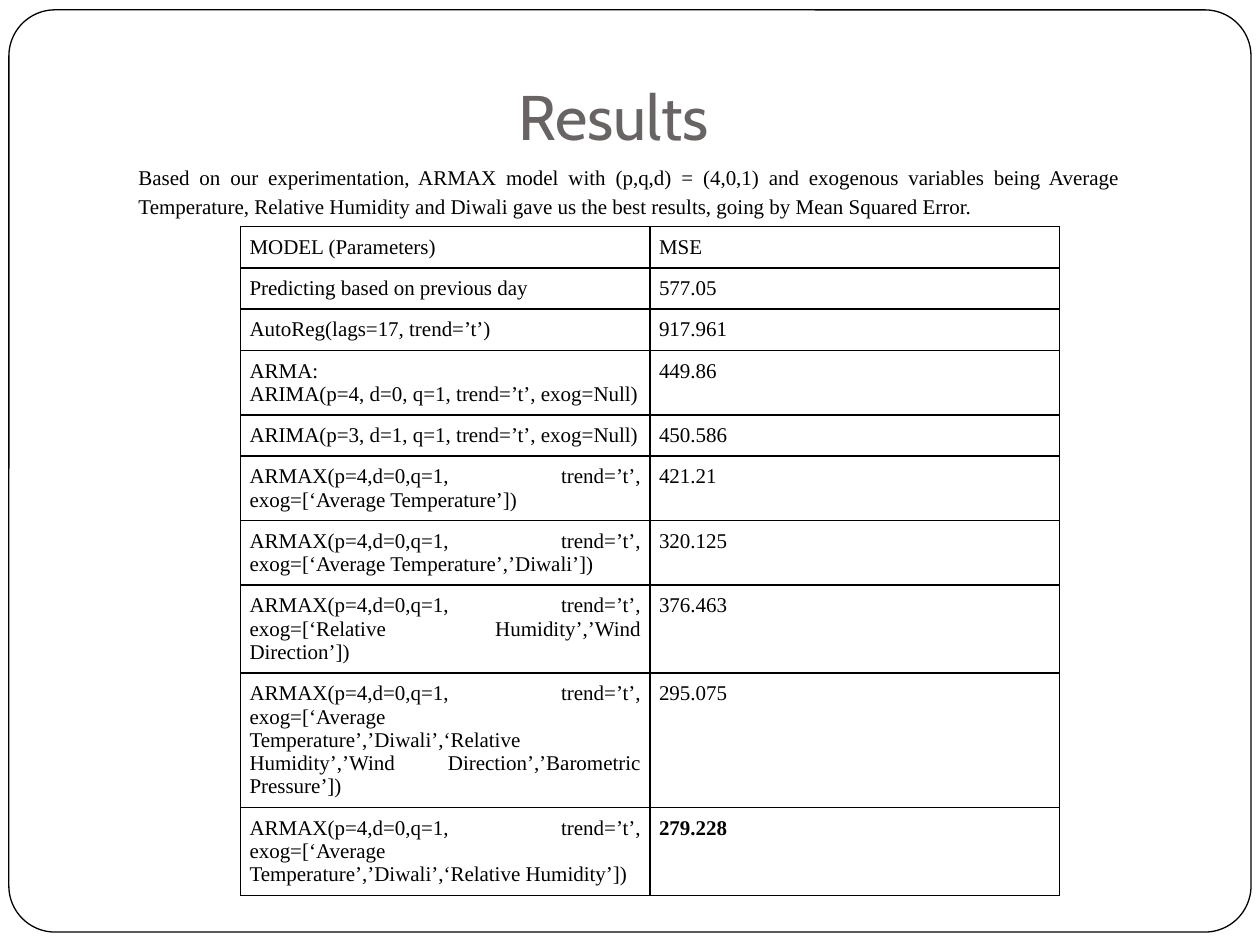
"""Build the Results slide comparing the error of the forecasting models."""
from lxml import etree
from pptx import Presentation
from pptx import util as u
from pptx.dml import color
from pptx.enum import shapes, text
from pptx.oxml import ns

SUMMARY = (
    "Based on our experimentation, ARMAX model with (p,q,d) = (4,0,1) and exogenous "
    "variables being Average Temperature, Relative Humidity and Diwali gave us the best "
    "results, going by Mean Squared Error."
)
ARMAX = "ARMAX(p=4,d=0,q=1, trend=’t’, exog=[{}])"
SCORES = [
    ("MODEL (Parameters)", "MSE"),
    ("Predicting based on previous day", "577.05"),
    ("AutoReg(lags=17, trend=’t’)", "917.961"),
    ("ARMA:\nARIMA(p=4, d=0, q=1, trend=’t’, exog=Null)", "449.86"),
    ("ARIMA(p=3, d=1, q=1, trend=’t’, exog=Null)", "450.586"),
    (ARMAX.format("‘Average Temperature’"), "421.21"),
    (ARMAX.format("‘Average Temperature’,’Diwali’"), "320.125"),
    (ARMAX.format("‘Relative Humidity’,’Wind Direction’"), "376.463"),
    (ARMAX.format("‘Average Temperature’,’Diwali’,‘Relative Humidity’,"
                  "’Wind Direction’,’Barometric Pressure’"), "295.075"),
    (ARMAX.format("‘Average Temperature’,’Diwali’,‘Relative Humidity’"), "279.228"),
]
BEST = "279.228"


def rgb(value):
    return color.RGBColor.from_string(value)


def apply(target, formats):
    for name, value in formats.items():
        setattr(target, name, value)


def box(*lengths):
    return dict(zip(("left", "top", "width", "height"), map(u.Cm, lengths)))


def margins(length):
    return {f"margin_{side}": u.Cm(length) for side in ("left", "top", "right", "bottom")}


class SlideBuilder:
    ink = "000000"
    paper = "FFFFFF"
    heading = {"name": "Cabin", "size": u.Pt(36), "bold": False}
    prose = {"name": "Times New Roman", "size": u.Pt(12), "bold": False}
    justified = {"alignment": text.PP_ALIGN.JUSTIFY}

    def __init__(self, deck):
        self.slide = deck.slides.add_slide(deck.slide_layouts[1])

    def set_text(self, frame, words, font, ink, layout):
        frame.text = words
        for paragraph in frame.paragraphs:
            apply(paragraph, layout)
            for run in paragraph.runs:
                apply(run.font, font)
                run.font.color.rgb = rgb(ink)

    def frame(self, place, corner):
        outline = self.slide.shapes.add_shape(
            shapes.MSO_SHAPE.ROUNDED_RECTANGLE, **place)
        outline.adjustments[0] = corner
        outline.shadow.inherit = False
        outline.fill.solid()
        outline.fill.fore_color.rgb = rgb(self.paper)
        outline.line.color.rgb = rgb(self.ink)
        outline.line.width = u.Pt(0.75)
        self.slide.shapes.element.insert(2, outline.element)

    def placeholder(self, index, place, words, font, ink, layout):
        holder = self.slide.placeholders[index]
        apply(holder, place)
        apply(holder.text_frame, {
            **margins(0.25), "word_wrap": True, "auto_size": text.MSO_AUTO_SIZE.NONE,
            "vertical_anchor": text.MSO_ANCHOR.TOP})
        self.set_text(holder.text_frame, words, font, ink,
                      {"space_before": u.Pt(0), **layout})
        for paragraph in holder.text_frame.paragraphs:
            properties = paragraph._p.get_or_add_pPr()
            properties.set("marL", "0")
            properties.set("indent", "0")
            etree.SubElement(properties, ns.qn("a:buNone"))

    def border(self, cell):
        properties = cell._tc.get_or_add_tcPr()
        for position, side in enumerate(("lnL", "lnR", "lnT", "lnB")):
            edge = etree.Element(ns.qn(f"a:{side}"), w=str(u.Pt(1)))
            fill = etree.SubElement(edge, ns.qn("a:solidFill"))
            etree.SubElement(fill, ns.qn("a:srgbClr"), val=self.ink)
            properties.insert(position, edge)

    def table(self, place, rows, row_height, strong):
        grid = self.slide.shapes.add_table(len(rows), len(rows[0]), **place).table
        apply(grid, {"first_row": False, "horz_banding": False})
        for row, entries in zip(grid.rows, rows):
            row.height = u.Cm(row_height)
            for cell, words in zip(row.cells, entries):
                apply(cell, margins(0.18))
                cell.fill.background()
                font = {**self.prose, "bold": words == strong}
                self.set_text(cell.text_frame, words, font, self.ink, self.justified)
                self.border(cell)


def main():
    deck = Presentation()
    apply(deck, {"slide_width": u.Cm(25.4), "slide_height": u.Cm(19.05)})
    results = SlideBuilder(deck)
    results.frame(box(0.18, 0.2, 25.04, 18.59), 0.05)
    results.placeholder(0, box(1.9, 1.32, 20.93, 2.44), "Results", results.heading,
                        "696464", {"alignment": text.PP_ALIGN.CENTER})
    results.placeholder(1, box(2.54, 3, 20.3, 1.75), SUMMARY, results.prose,
                        results.ink, {**results.justified, "line_spacing": 1.15})
    results.table(box(4.85, 4.57, 16.51, 8.33), SCORES, 0.03, BEST)
    deck.save("out.pptx")


if __name__ == "__main__":
    main()
